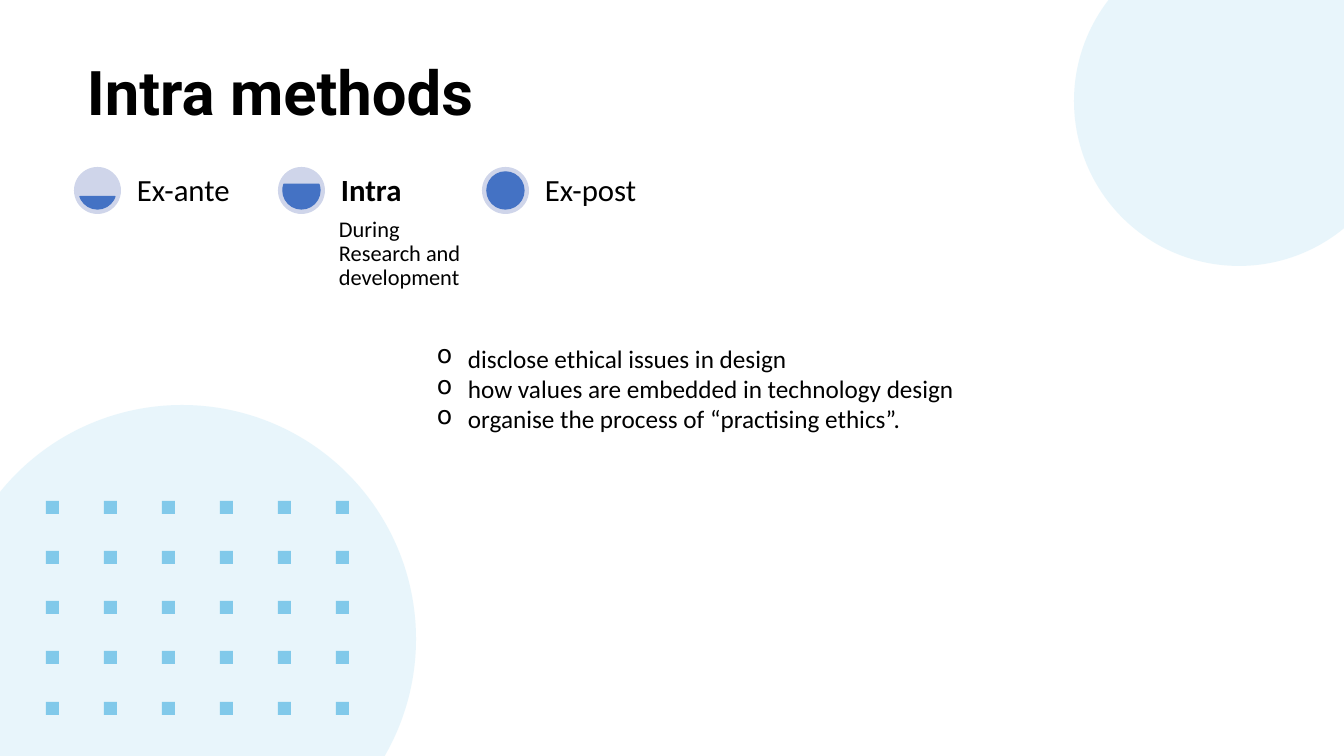
from pptx import Presentation, util as u
from pptx.dml.color import RGBColor
from pptx.enum import shapes, text
from pptx.oxml.ns import qn
from lxml import etree

PX = 914400 / 100.8
BLACK = RGBColor(0x00, 0x00, 0x00)
PALE_BLUE = RGBColor(0xCD, 0xEB, 0xF7)
SKY_BLUE = RGBColor(0x16, 0x9D, 0xD9)
RING = RGBColor(0xCF, 0xD5, 0xEA)
BLUE = RGBColor(0x44, 0x72, 0xC4)

STAGES = [
    ("Ex-ante", (11.683, 96.317)),
    ("Intra", (204.317, 119.683)),
    ("Ex-post", (162, 162)),
]
CURRENT = "Intra"
POINTS = [
    "disclose ethical issues in design",
    "how values are embedded in technology design",
    "organise the process of “practising ethics”.",
]


def px(n):
    return u.Emu(round(n * PX))


def add_shape(s, kind, x, y, size, fill, alpha=None, line=None):
    sp = s.shapes.add_shape(kind, px(x), px(y), px(size), px(size))
    sp.shadow.inherit = False
    sp.fill.solid()
    sp.fill.fore_color.rgb = fill
    if alpha is not None:
        color = sp.fill._xPr.find(qn("a:solidFill"))[0]
        etree.SubElement(color, qn("a:alpha")).set("val", str(alpha * 1000))
    if line is None:
        sp.line.fill.background()
    else:
        sp.line.color.rgb = line
        sp.line.width = u.Pt(1)
    return sp


def add_bullet(p, char, indent, hanging):
    p.level = 1
    pPr = p._p.get_or_add_pPr()
    pPr.set("marL", str(px(indent)))
    pPr.set("indent", str(px(-hanging)))
    etree.SubElement(pPr, qn("a:buChar")).set("char", char)


def add_text(s, lines, x, y, w, h, size, font="Calibri", bold=False,
             anchor=text.MSO_ANCHOR.TOP, inset=None, spacing=None, bullet=None):
    tf = s.shapes.add_textbox(px(x), px(y), px(w), px(h)).text_frame
    tf.word_wrap = True
    tf.vertical_anchor = anchor
    if inset is not None:
        tf.margin_left = tf.margin_right = px(inset)
        tf.margin_top = tf.margin_bottom = px(inset)
    for i, line in enumerate(lines):
        p = tf.add_paragraph() if i else tf.paragraphs[0]
        if spacing:
            p.line_spacing = spacing
        if bullet:
            add_bullet(p, bullet, 82, 31)
        r = p.add_run()
        r.text = line
        r.font.name = font
        r.font.size = u.Pt(size)
        r.font.bold = bold
        r.font.color.rgb = BLACK


def add_backdrop(s):
    add_shape(s, shapes.MSO_SHAPE.OVAL, -52, 405, 468, PALE_BLUE, alpha=46)
    add_shape(s, shapes.MSO_SHAPE.OVAL, 1074, -64, 330, PALE_BLUE, alpha=46)
    for row in range(5):
        for col in range(6):
            add_shape(s, shapes.MSO_SHAPE.RECTANGLE, 46 + 58 * col,
                      501 + 201 * row // 4, 13, SKY_BLUE, alpha=49)


def add_stage(s, x, y, name, angles):
    add_shape(s, shapes.MSO_SHAPE.OVAL, x, y, 47, RING)
    level = add_shape(s, shapes.MSO_SHAPE.CHORD, x + 5, y + 5, 37, BLUE, line=BLUE)
    level.adjustments[0], level.adjustments[1] = angles
    add_text(s, [name], x + 57, y, 138, 47, 22, bold=name == CURRENT,
             anchor=text.MSO_ANCHOR.BOTTOM, inset=6, spacing=0.9)


def main():
    prs = Presentation()
    prs.slide_width, prs.slide_height = px(1344), px(756)
    s = prs.slides.add_slide(prs.slide_layouts[6])
    add_backdrop(s)
    for i, (name, angles) in enumerate(STAGES):
        add_stage(s, 74 + 204 * i, 167, name, angles)
    add_text(s, ["During Research and development"], 335, 214, 138, 197, 16,
             inset=4, spacing=0.9)
    add_text(s, ["Intra methods"], 77, 57, 1159, 87, 44, font="Roboto",
             bold=True, spacing=0.9)
    add_text(s, POINTS, 376, 338, 735, 102, 18, bullet="o")
    prs.save("out.pptx")


if __name__ == "__main__":
    main()
